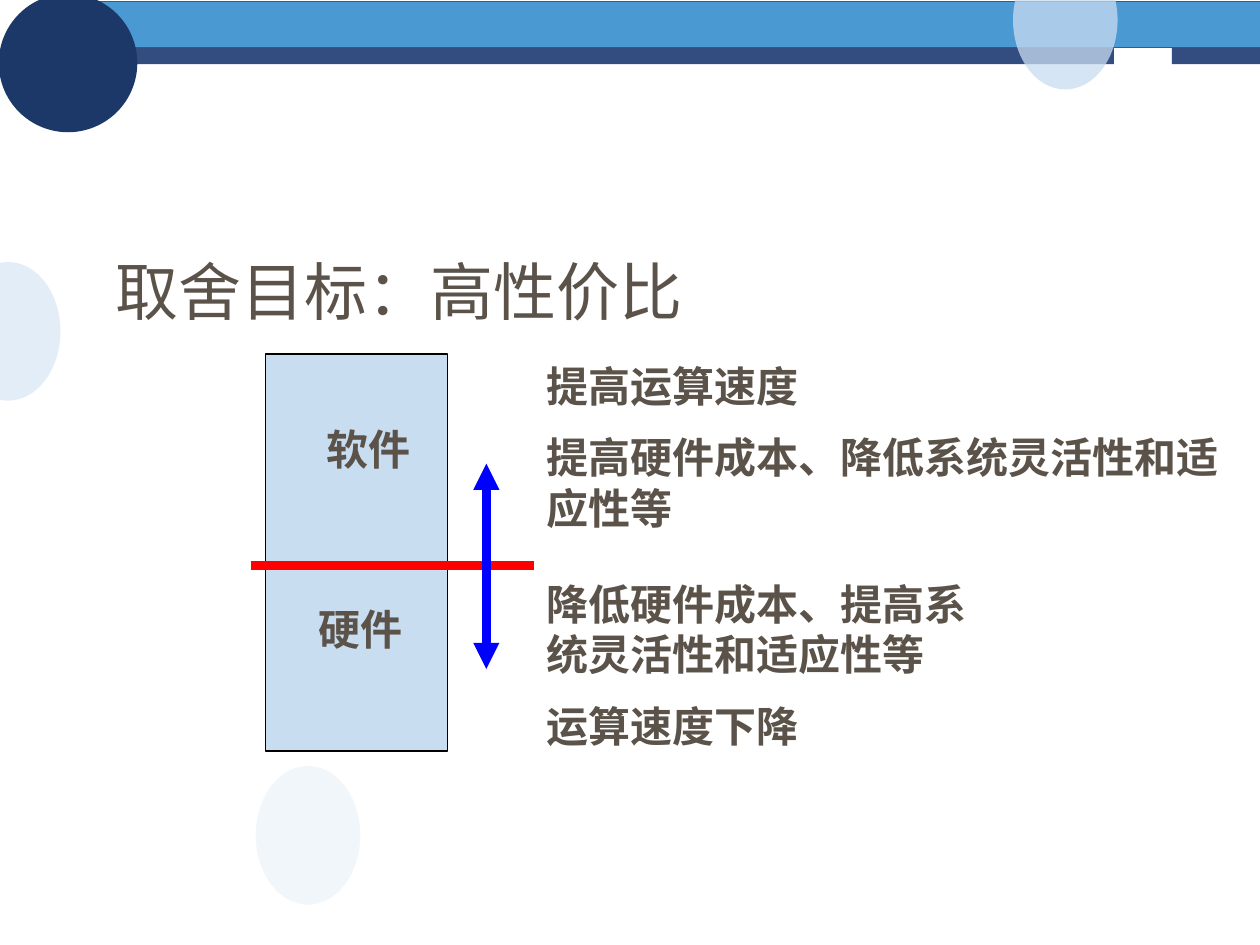
from dataclasses import dataclass

from lxml import etree
from pptx import Presentation
from pptx.dml.color import RGBColor as Rgb
from pptx.enum import shapes as sh, text as tx
from pptx.oxml import ns
from pptx.util import Inches, Pt


@dataclass(frozen=True)
class Theme:
    font: str = "Times New Roman"
    ink: str = "5B5249"
    sky: str = "0070C0"
    band: str = "334D80"
    navy: str = "1B3868"
    pale: str = "C9DDF1"
    black: str = "000000"
    red: str = "FF0000"
    blue: str = "0000FF"
    title: int = 36
    body: int = 24
    gap: int = 12
    thin: float = 0.75
    thick: int = 5


THEME = Theme()
RECT = sh.MSO_SHAPE.RECTANGLE
OVAL = sh.MSO_SHAPE.OVAL


def inch(*nums):
    return [Inches(n) for n in nums]


def child(node, tag, **attrs):
    return etree.SubElement(node, ns.qn(tag), **attrs)


def paint(shape, fill, alpha=100, line=None):
    shape.shadow.inherit = False
    shape.fill.solid()
    shape.fill.fore_color.rgb = Rgb.from_string(fill)
    if alpha < 100:
        color = shape.fill._xPr.find(".//" + ns.qn("a:srgbClr"))
        child(color, "a:alpha", val=str(alpha * 1000))
    if line:
        shape.line.color.rgb = Rgb.from_string(line)
        shape.line.width = Pt(THEME.thin)
    else:
        shape.line.fill.background()


def add_form(slide, kind, box, fill, alpha=100, line=None):
    paint(slide.shapes.add_shape(kind, *inch(*box)), fill, alpha, line)


def add_line(slide, start, end, color, heads=False):
    line = slide.shapes.add_connector(
        sh.MSO_CONNECTOR.STRAIGHT, *inch(*start, *end))
    line.line.color.rgb = Rgb.from_string(color)
    line.line.width = Pt(THEME.thick)
    if heads:
        for tag in ("a:headEnd", "a:tailEnd"):
            child(line.line._get_or_add_ln(), tag, type="triangle")
    child(line._element.spPr, "a:effectLst")


def style(para, size, bold=False):
    font = para.font
    font.name = THEME.font
    font.size = Pt(size)
    font.bold = bold
    font.color.rgb = Rgb.from_string(THEME.ink)


def add_text(slide, box, *lines):
    frame = slide.shapes.add_textbox(*inch(*box)).text_frame
    frame.word_wrap = True
    frame.text = "\n".join(lines)
    for i, para in enumerate(frame.paragraphs):
        style(para, THEME.body, True)
        if i:
            para.space_before = Pt(THEME.gap)


def add_strip(slide, box, gap):
    left, top, width, height = box
    spans = [(left, gap[0]), (gap[1], left + width)]
    form = None
    for x1, x2 in spans:
        start = inch(x1, top)
        if form is None:
            form = slide.shapes.build_freeform(*start)
        else:
            form.move_to(*start)
        ends = [(x2, top), (x2, top + height), (x1, top + height)]
        form.add_line_segments([inch(*end) for end in ends])
    paint(form.convert_to_shape(), THEME.band)


def add_decor(slide, box):
    left, top, width, _ = box
    add_form(slide, RECT, (left + 0.52, top + 0.01, width - 0.5, 0.37),
             THEME.sky, 71, THEME.ink)
    add_strip(slide, (left + 0.12, top + 0.38, width - 0.1, 0.13),
              (left + 8.84, left + 9.3))
    add_form(slide, OVAL, (left - 0.01, top - 0.05, 1.1, 1.1), THEME.navy)
    for x, y, alpha in ((2.03, 6.08, 25), (-0.35, 2.08, 50),
                        (8.04, -0.39, 75)):
        add_form(slide, OVAL, (left + x, top + y, 0.83, 1.1),
                 THEME.pale, alpha)


def add_title(slide, box, words):
    title = slide.shapes.title
    title.left, title.top, title.width, title.height = inch(*box)
    frame = title.text_frame
    frame.text = words
    frame.word_wrap = True
    frame.auto_size = tx.MSO_AUTO_SIZE.NONE
    frame.vertical_anchor = tx.MSO_ANCHOR.TOP
    para = frame.paragraphs[0]
    para.alignment = tx.PP_ALIGN.LEFT
    style(para, THEME.title)


def add_stack(slide, box):
    left, top, width, height = box
    split = top + 1.68
    axis = left + width + 0.31
    add_form(slide, RECT, box, THEME.pale, line=THEME.black)
    add_line(slide, (left - 0.12, split), (left + 2.13, split), THEME.red)
    add_line(slide, (axis, top + 0.87), (axis, top + 2.5), THEME.blue, True)
    add_text(slide, (left + 0.38, top + 0.5, 1.12, 0.51), "软件")
    add_text(slide, (left + 0.32, top + 1.93, 1.12, 0.51), "硬件")


def add_notes(slide, box):
    left, top, width, height = box
    add_text(slide, (left, top, width, 1.51),
             "提高运算速度", "提高硬件成本、降低系统灵活性和适应性等")
    add_text(slide, (left, top + 1.73, 3.83, height - 1.73),
             "降低硬件成本、提高系统灵活性和适应性等", "运算速度下降")


def main():
    deck = Presentation()
    deck.slide_width, deck.slide_height = inch(10, 7.5)
    slide = deck.slides.add_slide(deck.slide_layouts[5])
    add_decor(slide, (0, 0, 10, 7.5))
    add_title(slide, (0.82, 1.95, 8.03, 1.16), "取舍目标：高性价比")
    add_stack(slide, (2.11, 2.81, 1.44, 3.15))
    add_notes(slide, (4.24, 2.81, 5.76, 3.85))
    deck.save("out.pptx")


if __name__ == "__main__":
    main()
